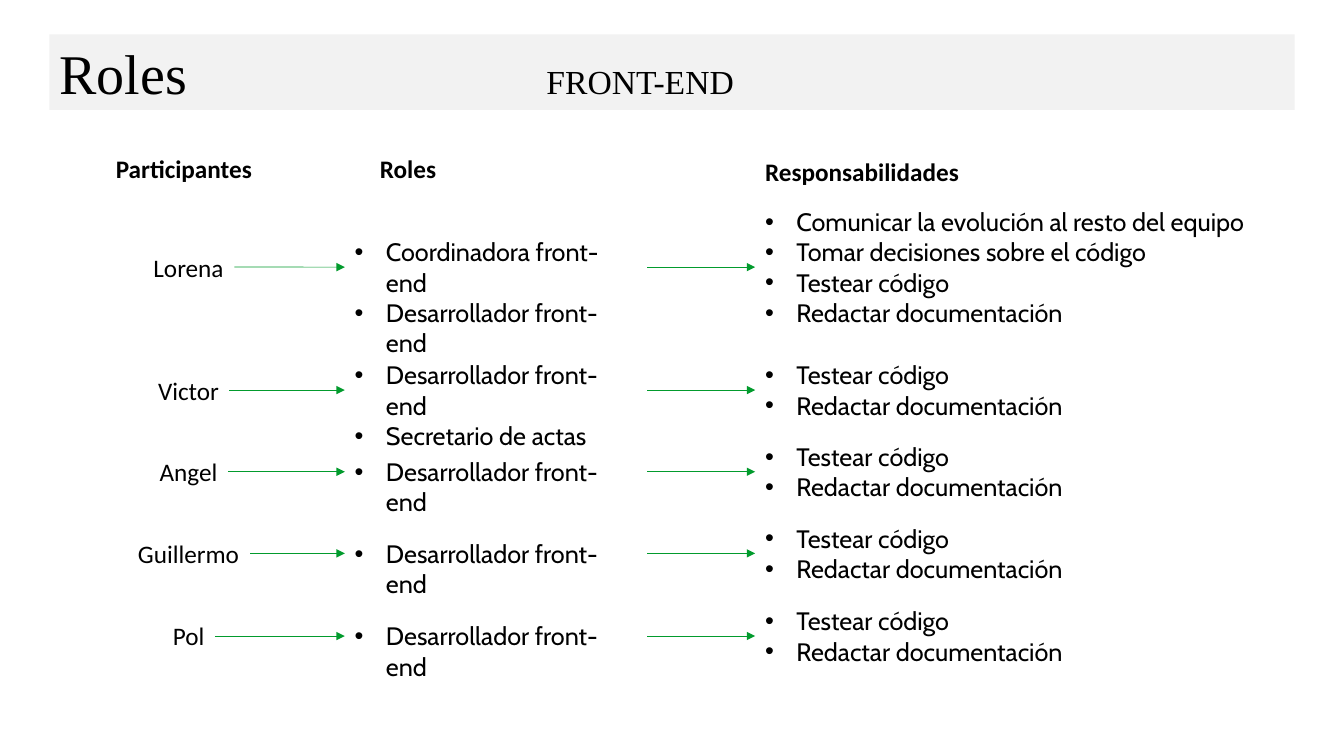
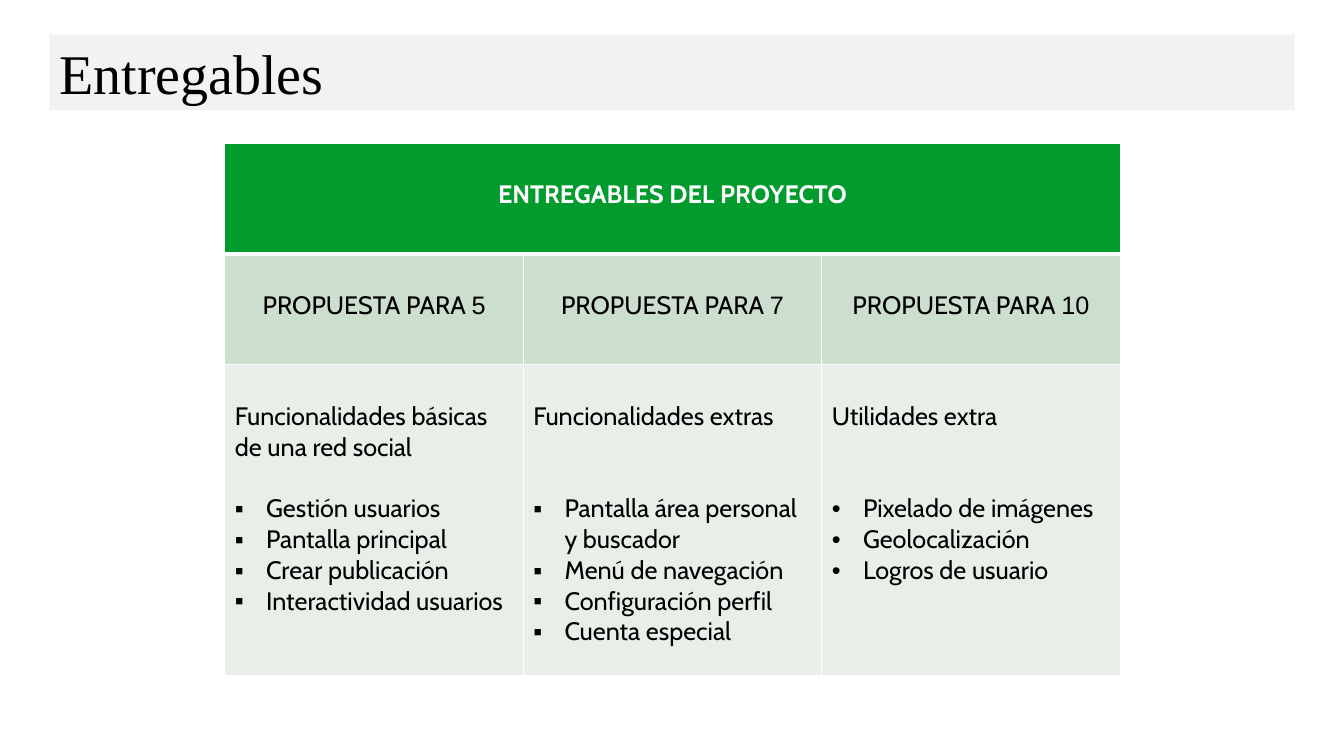
"""Build the roles and deliverables slides of a student project."""
import dataclasses
import typing

import lxml.etree
import pptx
import pptx.dml.color
import pptx.enum.shapes
import pptx.enum.text
import pptx.oxml.ns
import pptx.util

Inches = pptx.util.Inches
Pt = pptx.util.Pt
ALIGN = pptx.enum.text.PP_ALIGN
ANCHOR = pptx.enum.text.MSO_ANCHOR

BLACK, WHITE, GREEN = "000000", "FFFFFF", "029B2D"
BAND, SUBHEAD_FILL, BODY_FILL = "F2F2F2", "CCDECD", "E7EFE8"
BODY_FONT, NAME_FONT, TITLE_FONT = "Cabin", "Calibri", "Times New Roman"
BULLET_INDENT = 0.31
NAME_CENTER = 1.87
ROLE_LEFT, ROLE_WIDTH = 3.42, 3.0
DUTY_LEFT = 7.49
DEVELOPER = "Desarrollador front-end"
COMMON_DUTIES = ("Testear código", "Redactar documentación")
FRAME_FORMAT = {"word_wrap": True, "auto_size": pptx.enum.text.MSO_AUTO_SIZE.NONE}


class Heading(typing.NamedTuple):
    """A column heading on the roles slide."""
    text: str
    left: float
    top: float
    width: float


@dataclasses.dataclass(frozen=True)
class Participant:
    """A team member with roles and responsibilities."""
    name: str
    name_width: float
    middle: float
    roles: tuple[str, ...] = (DEVELOPER,)
    duties: tuple[str, ...] = COMMON_DUTIES
    duty_width: float = 4.43


@dataclasses.dataclass(frozen=True)
class Proposal:
    """A table column describing the deliverables for one grade."""
    grade: str
    summary: str
    features: tuple[str, ...]
    gap: int = 44
    bullet: str = "▪"


HEADINGS = (
    Heading("Participantes", 1.05, 1.47, 1.64),
    Heading("Roles", 3.67, 1.47, 0.8),
    Heading("Responsabilidades", DUTY_LEFT, 1.5, 2.87),
)
PARTICIPANTS = (
    Participant("Lorena", 0.91, 2.65, ("Coordinadora front-end", DEVELOPER),
                ("Comunicar la evolución al resto del equipo",
                 "Tomar decisiones sobre el código") + COMMON_DUTIES, 5.35),
    Participant("Victor", 0.81, 3.87, (DEVELOPER, "Secretario de actas")),
    Participant("Angel", 0.78, 4.68),
    Participant("Guillermo", 1.22, 5.49),
    Participant("Pol", 0.52, 6.31),
)
PROPOSALS = (
    Proposal("5", "Funcionalidades básicas de una red social",
             ("Gestión usuarios", "Pantalla principal", "Crear publicación",
              "Interactividad usuarios"), gap=22),
    Proposal("7", "Funcionalidades extras",
             ("Pantalla área personal y buscador", "Menú de navegación",
              "Configuración perfil", "Cuenta especial")),
    Proposal("10", "Utilidades extra",
             ("Pixelado de imágenes", "Geolocalización", "Logros de usuario"),
             bullet="•"),
)


def rgb(color: str) -> pptx.dml.color.RGBColor:
    """Turn a hex string into a colour."""
    return pptx.dml.color.RGBColor.from_string(color)


def apply_format(target: typing.Any, values: dict[str, typing.Any]) -> None:
    """Set every attribute listed in the format values."""
    for name, value in values.items():
        setattr(target, name, value)


def add_element(parent: typing.Any, tag: str, **attributes: str) -> typing.Any:
    """Append a drawing element to its parent."""
    return lxml.etree.SubElement(parent, pptx.oxml.ns.qn(tag), attributes)


def add_run(paragraph: typing.Any, text: str, font: str = BODY_FONT, size: int = 18,
            color: str = BLACK, bold: bool = False) -> None:
    """Add a formatted run to a paragraph."""
    run = paragraph.add_run()
    run.text = text
    apply_format(run.font, {"name": font, "size": Pt(size), "bold": bold})
    run.font.color.rgb = rgb(color)


def add_bullet(paragraph: typing.Any, text: str, bullet: str = "•") -> None:
    """Turn a paragraph into a bulleted line."""
    properties = paragraph._p.get_or_add_pPr()
    properties.set("marL", str(Inches(BULLET_INDENT)))
    properties.set("indent", str(-Inches(BULLET_INDENT)))
    add_element(properties, "a:buFont", typeface="Arial")
    add_element(properties, "a:buChar", char=bullet)
    add_run(paragraph, text)


def add_title_slide(presentation: typing.Any, title: str, subtitle: str = "") -> typing.Any:
    """Add a slide whose title sits on the grey band."""
    slide = presentation.slides.add_slide(presentation.slide_layouts[5])
    band = slide.shapes.title
    apply_format(band, {"left": Inches(0.49), "top": Inches(0.34),
                        "width": Inches(12.35), "height": Inches(0.75)})
    band.fill.solid()
    band.fill.fore_color.rgb = rgb(BAND)
    apply_format(band.text_frame, FRAME_FORMAT | {"vertical_anchor": ANCHOR.MIDDLE})
    paragraph = band.text_frame.paragraphs[0]
    paragraph.alignment = ALIGN.LEFT
    if subtitle:
        tabs = add_element(paragraph._p.get_or_add_pPr(), "a:tabLst")
        add_element(tabs, "a:tab", pos=str(Inches(4.83)), algn="l")
    add_run(paragraph, title + ("\t" if subtitle else ""), TITLE_FONT, 40)
    if subtitle:
        add_run(paragraph, subtitle, TITLE_FONT, 24)
    return slide


def add_text_box(slide: typing.Any, left: float, top: float, width: float,
                 height: float = 0.4) -> typing.Any:
    """Add an empty text box of fixed size."""
    box = slide.shapes.add_textbox(Inches(left), Inches(top), Inches(width), Inches(height))
    apply_format(box.text_frame, FRAME_FORMAT)
    return box


def add_bullet_box(slide: typing.Any, left: float, middle: float, width: float,
                   lines: tuple[str, ...]) -> typing.Any:
    """Add a bulleted box centred on a row."""
    height = 0.1 + 0.3 * len(lines)
    box = add_text_box(slide, left, middle - height / 2, width, height)
    for index, line in enumerate(lines):
        frame = box.text_frame
        add_bullet(frame.add_paragraph() if index else frame.paragraphs[0], line)
    return box


def add_arrow(slide: typing.Any, start: typing.Any, end: typing.Any) -> None:
    """Join the right side of one box to the left side of the next."""
    arrow = slide.shapes.add_connector(pptx.enum.shapes.MSO_CONNECTOR.STRAIGHT, 0, 0, 0, 0)
    arrow.begin_connect(start, 3)
    arrow.end_connect(end, 1)
    arrow.line.color.rgb = rgb(GREEN)
    arrow.line.width = Pt(0.5)
    properties = arrow.element.spPr
    add_element(properties.find(pptx.oxml.ns.qn("a:ln")), "a:tailEnd", type="triangle")
    add_element(properties, "a:effectLst")


def add_participant(slide: typing.Any, person: Participant) -> None:
    """Draw one row from name to responsibilities."""
    name = add_text_box(slide, NAME_CENTER - person.name_width / 2,
                        person.middle - 0.2, person.name_width)
    name.text_frame.word_wrap = False
    paragraph = name.text_frame.paragraphs[0]
    paragraph.alignment = ALIGN.CENTER
    add_run(paragraph, person.name, NAME_FONT)
    roles = add_bullet_box(slide, ROLE_LEFT, person.middle, ROLE_WIDTH, person.roles)
    duties = add_bullet_box(slide, DUTY_LEFT, person.middle, person.duty_width, person.duties)
    add_arrow(slide, name, roles)
    add_arrow(slide, roles, duties)


def style_cell(cell: typing.Any, fill: str, top: float = 1, bottom: float = 1) -> None:
    """Give a cell white borders, a fill and a deep top margin."""
    properties = cell._tc.get_or_add_tcPr()
    for side, width in {"L": 1, "R": 1, "T": top, "B": bottom}.items():
        border = add_element(properties, f"a:ln{side}", w=str(Pt(width)))
        add_element(add_element(border, "a:solidFill"), "a:srgbClr", val=WHITE)
    cell.fill.solid()
    cell.fill.fore_color.rgb = rgb(fill)
    apply_format(cell, {"margin_top": Inches(0.36), "vertical_anchor": ANCHOR.TOP})


def build_roles(presentation: typing.Any) -> None:
    """Build the slide of participants and roles."""
    slide = add_title_slide(presentation, "Roles", "FRONT-END")
    for heading in HEADINGS:
        box = add_text_box(slide, heading.left, heading.top, heading.width)
        add_run(box.text_frame.paragraphs[0], heading.text, NAME_FONT, bold=True)
    for person in PARTICIPANTS:
        add_participant(slide, person)


def build_deliverables(presentation: typing.Any) -> None:
    """Build the slide with the deliverables table."""
    slide = add_title_slide(presentation, "Entregables")
    table = slide.shapes.add_table(3, len(PROPOSALS), Inches(2.23), Inches(1.42),
                                   Inches(8.88), Inches(5.28)).table
    apply_format(table, {"first_row": False, "horz_banding": False})
    for row, height in zip(table.rows, (1.1, 1.1, 3.08)):
        row.height = Inches(height)
    for index, proposal in enumerate(PROPOSALS):
        table.columns[index].width = Inches(2.96)
        header, subhead, body = (table.cell(row, index) for row in range(3))
        style_cell(header, GREEN, bottom=3)
        style_cell(subhead, SUBHEAD_FILL, top=3)
        style_cell(body, BODY_FILL)
        paragraph = subhead.text_frame.paragraphs[0]
        paragraph.alignment = ALIGN.CENTER
        add_run(paragraph, "PROPUESTA PARA ")
        add_run(paragraph, proposal.grade, "Arial")
        add_run(body.text_frame.paragraphs[0], proposal.summary)
        for position, feature in enumerate(proposal.features):
            paragraph = body.text_frame.add_paragraph()
            add_bullet(paragraph, feature, proposal.bullet)
            if position == 0:
                paragraph.space_before = Pt(proposal.gap)
    table.cell(0, 0).merge(table.cell(0, len(PROPOSALS) - 1))
    paragraph = table.cell(0, 0).text_frame.paragraphs[0]
    paragraph.alignment = ALIGN.CENTER
    add_run(paragraph, "ENTREGABLES DEL PROYECTO", color=WHITE, bold=True)


def main() -> None:
    """Create and save the presentation."""
    presentation = pptx.Presentation()
    apply_format(presentation, {"slide_width": Inches(13.33), "slide_height": Inches(7.5)})
    build_roles(presentation)
    build_deliverables(presentation)
    presentation.save("out.pptx")


if __name__ == "__main__":
    main()
